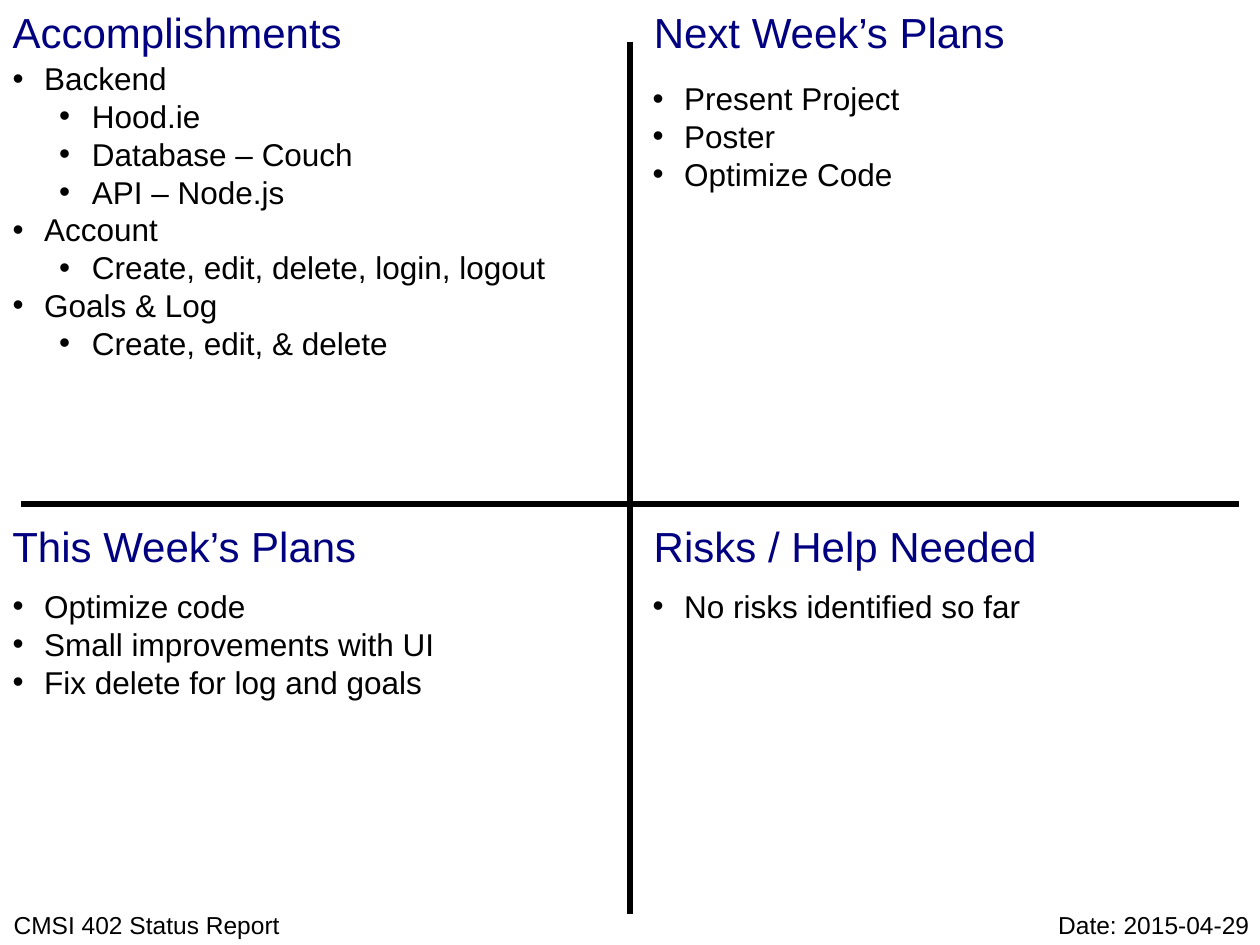
from lxml.etree import SubElement
from pptx import Presentation
from pptx.dml.color import RGBColor
from pptx.enum.shapes import MSO_CONNECTOR
from pptx.enum.text import MSO_ANCHOR, MSO_AUTO_SIZE, PP_ALIGN
from pptx.oxml.ns import qn
from pptx.util import Inches, Pt

BLACK, NAVY = "000000", "000080"
COMPARISON_LAYOUT = 4
LEFT, RIGHT = 0, 5.08
HEADING_RIGHT = 5.09
LIST_WIDTH = 4.92
INDENTS = [(0.25, -0.25), (0.63, -0.26)]
QUADRANTS = [
    ("Accomplishments", (LEFT, 0, 2.9), (LEFT, 0.42, 2.5), [
        ("Backend", 0), ("Hood.ie", 1), ("Database – Couch", 1),
        ("API – Node.js", 1), ("Account", 0),
        ("Create, edit, delete, login, logout", 1),
        ("Goals & Log", 0), ("Create, edit, & delete", 1)]),
    ("Next Week’s Plans", (HEADING_RIGHT, 0, 3.05), (RIGHT, 0.58, 1), [
        ("Present Project", 0), ("Poster", 0), ("Optimize Code", 0)]),
    ("This Week’s Plans", (LEFT, 4.08, 3), (LEFT, 4.61, 1), [
        ("Optimize code", 0), ("Small improvements with UI", 0),
        ("Fix delete for log and goals", 0)]),
    ("Risks / Help Needed", (HEADING_RIGHT, 4.08, 3.3), (RIGHT, 4.61, 0.4), [
        ("No risks identified so far", 0)]),
]


def rgb(value):
    """Turn a hex string into a colour."""
    return RGBColor.from_string(value)


def set_attributes(target, values):
    """Set every attribute in a dict of format values."""
    for name, value in values.items():
        setattr(target, name, value)


def place(shape, left, top, width, height):
    """Move and size a shape, in inches."""
    box = {"left": left, "top": top, "width": width, "height": height}
    set_attributes(shape, {name: Inches(value) for name, value in box.items()})


def write_paragraph(paragraph, text, size, color):
    """Write one plain left-aligned paragraph."""
    paragraph.text = text
    set_attributes(paragraph, {"alignment": PP_ALIGN.LEFT,
                               "space_before": Pt(0), "space_after": Pt(0)})
    set_attributes(paragraph.runs[0].font,
                   {"name": "Arial", "size": Pt(size), "bold": False})
    paragraph.runs[0].font.color.rgb = rgb(color)


def format_frame(shape):
    """Give a text shape its shared frame settings."""
    set_attributes(shape.text_frame, {
        "word_wrap": True, "vertical_anchor": MSO_ANCHOR.TOP,
        "auto_size": MSO_AUTO_SIZE.SHAPE_TO_FIT_TEXT,
        "margin_left": Inches(0.1), "margin_right": Inches(0.1),
        "margin_top": Inches(0.05), "margin_bottom": Inches(0.05)})


def write_label(shape, box, text, size, color):
    """Place a one-line label in its box."""
    place(shape, *box)
    format_frame(shape)
    write_paragraph(shape.text_frame.paragraphs[0], text, size, color)


def add_bullet(paragraph, level):
    """Give a paragraph a black bullet and the indent of its level."""
    paragraph.level = level
    margin, indent = INDENTS[level]
    properties = paragraph._p.get_or_add_pPr()
    properties.set("marL", str(Inches(margin)))
    properties.set("indent", str(Inches(indent)))
    bullet_color = SubElement(properties, qn("a:buClr"))
    SubElement(bullet_color, qn("a:srgbClr"), val=BLACK)
    SubElement(properties, qn("a:buFont"), typeface="Arial")
    SubElement(properties, qn("a:buChar"), char="•")


def write_list(shape, box, items):
    """Place a bulleted list in its box."""
    place(shape, *box)
    format_frame(shape)
    frame = shape.text_frame
    for index, (text, level) in enumerate(items):
        paragraph = frame.add_paragraph() if index else frame.paragraphs[0]
        write_paragraph(paragraph, text, 18, BLACK)
        add_bullet(paragraph, level)


def add_text_box(slide):
    """Add an empty text box to be placed later."""
    return slide.shapes.add_textbox(0, 0, 0, 0)


def add_quadrants(slide):
    """Fill the four quadrants with a heading and a list each."""
    for index, (heading, heading_box, list_box, items) in enumerate(QUADRANTS):
        label = add_text_box(slide) if index else slide.shapes.title
        write_label(label, (*heading_box, 0.5), heading, 24, NAVY)
        left, top, height = list_box
        body = slide.placeholders[index + 1]
        write_list(body, (left, top, LIST_WIDTH, height), items)


def add_divider(slide, *ends):
    """Draw one thick straight divider between two points."""
    line = slide.shapes.add_connector(MSO_CONNECTOR.STRAIGHT,
                                      *[Inches(value) for value in ends])
    line.line.color.rgb = rgb(BLACK)
    line.line.width = Pt(3)
    SubElement(line._element.spPr, qn("a:effectLst"))


def add_footer(slide):
    """Write the report name and the date along the bottom."""
    for text, left, width in [("CMSI 402 Status Report", 0.01, 2.4),
                              ("Date: 2015-04-29", 8.3, 1.76)]:
        write_label(add_text_box(slide), (left, 7.17, width, 0.34),
                    text, 14, BLACK)


def main():
    """Build the status report slide."""
    presentation = Presentation()
    set_attributes(presentation, {"slide_width": Inches(10),
                                  "slide_height": Inches(7.5)})
    layout = presentation.slide_layouts[COMPARISON_LAYOUT]
    slide = presentation.slides.add_slide(layout)
    add_footer(slide)
    add_divider(slide, 5, 0.33, 5, 7.25)
    add_divider(slide, 0.17, 4, 9.83, 4)
    add_quadrants(slide)
    presentation.save("out.pptx")


if __name__ == "__main__":
    main()
